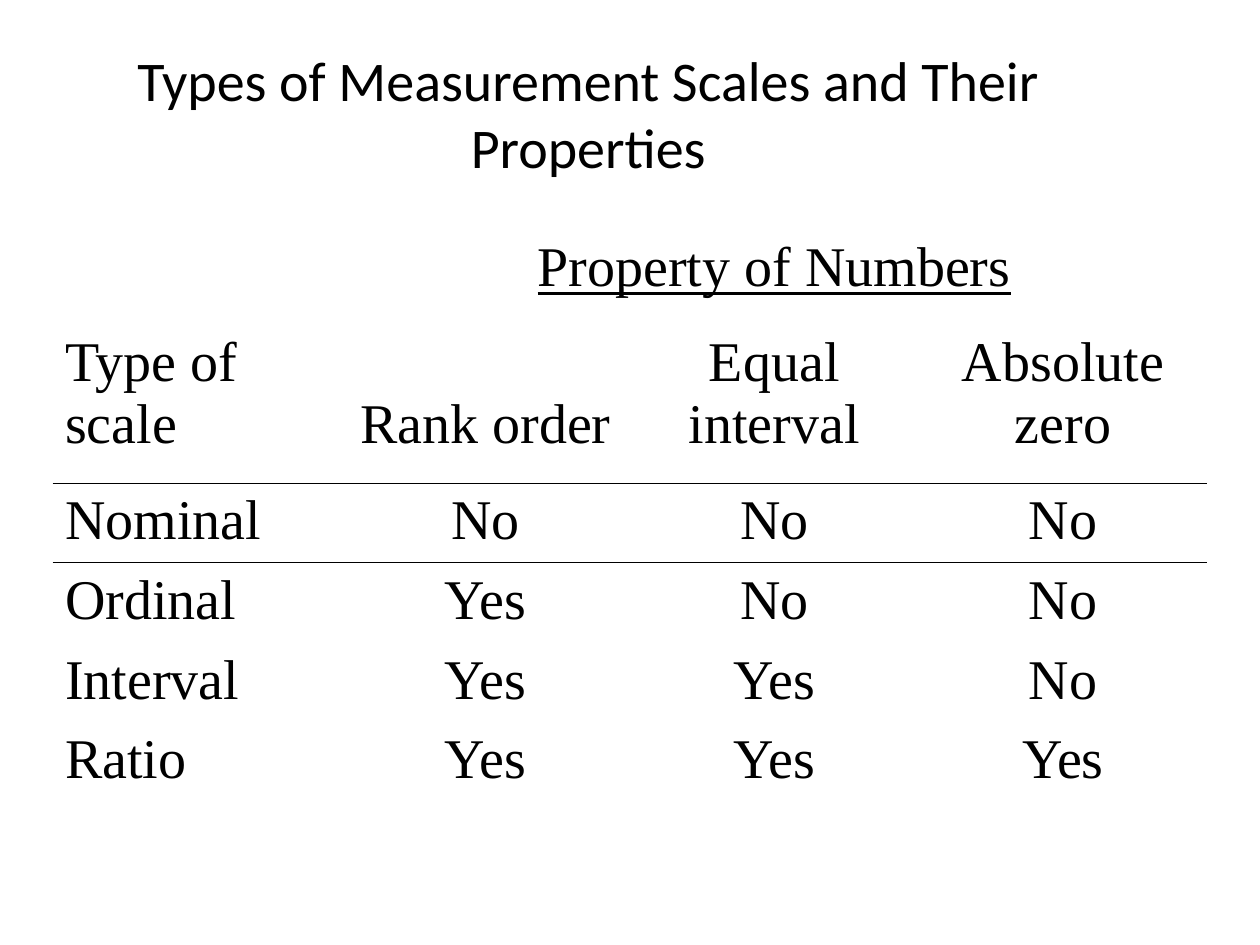
from lxml.etree import SubElement
from pptx import Presentation
from pptx.dml.color import RGBColor
from pptx.enum.text import MSO_ANCHOR, PP_ALIGN
from pptx.oxml import parse_xml
from pptx.oxml.ns import qn
from pptx.util import Cm, Pt

BLACK = "000000"
PLAIN_TABLE_STYLE = "{2D5ABB26-0587-4C30-8999-92F81FD0307C}"
ROWS = [
    ["", "Property of Numbers", "", ""],
    ["Type of scale", "Rank order", "Equal interval", "Absolute zero"],
    ["Nominal", "No", "No", "No"],
    ["Ordinal", "Yes", "No", "No"],
    ["Interval", "Yes", "Yes", "No"],
    ["Ratio", "Yes", "Yes", "Yes"],
]
ROW_HEIGHTS = [1.9, 3.18] + [1.61] * 4
COLUMN_WIDTH = 5.82
HEADER_ROW = 1


def color(value):
    """Return the colour for a hex string."""
    return RGBColor.from_string(value)


def format_text(text_frame, font_name, alignment):
    """Apply the common text size and colour to every paragraph."""
    for paragraph in text_frame.paragraphs:
        paragraph.alignment = alignment
        for run in paragraph.runs:
            run.font.name = font_name
            run.font.size = Pt(32)
            run.font.color.rgb = color(BLACK)


def add_border(cell, side):
    """Draw a thin line on one side of a cell."""
    namespace = "http://schemas.openxmlformats.org/drawingml/2006/main"
    line = parse_xml(f'<a:{side} xmlns:a="{namespace}" w="{Pt(0.45)}"/>')
    fill = SubElement(line, qn("a:solidFill"))
    SubElement(fill, qn("a:srgbClr"), val=BLACK)
    cell._tc.get_or_add_tcPr().insert(0, line)


def add_title(slide, text):
    """Place and format the slide title."""
    title = slide.shapes.title
    title.left, title.top = Cm(1.06), Cm(0.74)
    title.width, title.height = Cm(21.6), Cm(3.07)
    title.text_frame.text = text
    title.text_frame.word_wrap = True
    title.text_frame.vertical_anchor = MSO_ANCHOR.MIDDLE
    format_text(title.text_frame, "Calibri", PP_ALIGN.CENTER)


def fill_cell(cell, text, column_index):
    """Write one table cell without a background."""
    cell.text_frame.text = text
    cell.fill.background()
    alignment = PP_ALIGN.CENTER if column_index else PP_ALIGN.LEFT
    format_text(cell.text_frame, "Times New Roman", alignment)


def add_scale_table(slide):
    """Add the table of scales and number properties."""
    column_count = len(ROWS[0])
    frame = slide.shapes.add_table(
        len(ROWS), column_count, Cm(1.06), Cm(4.65),
        Cm(COLUMN_WIDTH * column_count), Cm(sum(ROW_HEIGHTS)),
    )
    table = frame.table
    table.first_row = table.horz_banding = False
    table._tbl.tblPr.find(qn("a:tableStyleId")).text = PLAIN_TABLE_STYLE
    for column in table.columns:
        column.width = Cm(COLUMN_WIDTH)
    for row, height, texts in zip(table.rows, ROW_HEIGHTS, ROWS):
        row.height = Cm(height)
        for column_index, text in enumerate(texts):
            fill_cell(row.cells[column_index], text, column_index)
    for column_index in range(column_count):
        header = table.cell(HEADER_ROW, column_index)
        header.vertical_anchor = MSO_ANCHOR.BOTTOM
        header.margin_bottom = Cm(0.55)
        add_border(header, "lnB")
        add_border(table.cell(HEADER_ROW + 1, column_index), "lnT")
    heading = table.cell(0, 1)
    heading.merge(table.cell(0, column_count - 1))
    heading.text_frame.paragraphs[0].runs[0].font.underline = True


def main():
    """Build and save the presentation."""
    presentation = Presentation()
    presentation.slide_width, presentation.slide_height = Cm(25.4), Cm(19.05)
    slide = presentation.slides.add_slide(presentation.slide_layouts[5])
    add_title(slide, "Types of Measurement Scales and Their Properties")
    add_scale_table(slide)
    presentation.save("out.pptx")


if __name__ == "__main__":
    main()
